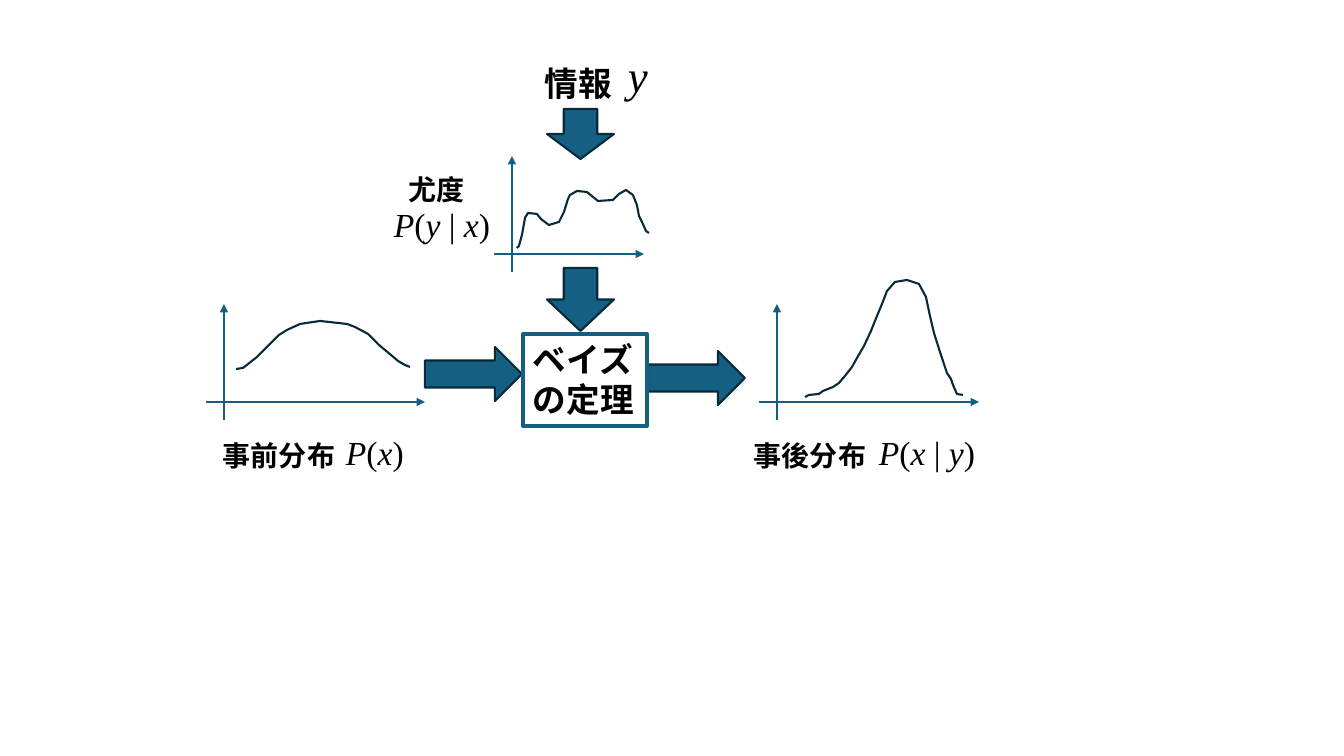
"""Builds a slide showing how Bayes' theorem turns a prior into a posterior."""
from lxml.etree import SubElement
from pptx import Presentation
from pptx.dml.color import RGBColor
from pptx.enum.shapes import MSO_CONNECTOR as CONNECTOR, MSO_SHAPE as SHAPE
from pptx.enum.text import MSO_ANCHOR as ANCHOR, MSO_AUTO_SIZE as AUTO_SIZE, PP_ALIGN as ALIGN
from pptx.oxml.ns import qn
from pptx.util import Pt

PX = 914400 / 100.8
COLORS = {"teal": "156082", "outline": "092A39", "text": "000000"}
JAPANESE = "Noto Sans CJK JP"
MATH = "Times New Roman"


def px(*lengths):
    return [round(length * PX) for length in lengths]


def style_run(run, font, size, bold=False, italic=False):
    run.font.name = font
    run.font.size = Pt(size)
    run.font.bold = bold
    run.font.italic = italic
    run.font.color.rgb = RGBColor.from_string(COLORS["text"])
    SubElement(run.font._element, qn("a:ea"), typeface=font)


presentation = Presentation()
presentation.slide_width, presentation.slide_height = px(1344, 756)
slide = presentation.slides.add_slide(presentation.slide_layouts[6])
shapes = slide.shapes

for origin_x, origin_y, length in [(224, 402, 201), (777, 402, 202), (512, 254, 132)]:
    for ends in [
        (origin_x - 18, origin_y, origin_x + length, origin_y),
        (origin_x, origin_y + 18, origin_x, origin_y - 98),
    ]:
        axis = shapes.add_connector(CONNECTOR.STRAIGHT, *px(*ends))
        axis.line.color.rgb = RGBColor.from_string(COLORS["teal"])
        axis.line.width = Pt(1.5)
        SubElement(axis.line._get_or_add_ln(), qn("a:tailEnd"), type="triangle")
        SubElement(axis._element.spPr, qn("a:effectLst"))

prior = [
    (236, 369), (243, 368), (257, 357), (269, 345), (279, 335), (287, 330),
    (300, 324), (320, 321), (347, 324), (355, 327), (368, 334), (379, 345),
    (391, 355), (398, 361), (405, 365), (410, 367),
]
likelihood = [
    (517, 248), (519, 246), (522, 235), (524, 224), (525, 218), (528, 213),
    (537, 214), (541, 219), (549, 225), (559, 222), (564, 212), (568, 199),
    (570, 195), (577, 191), (587, 192), (598, 201), (613, 200), (619, 194),
    (626, 190), (633, 195), (637, 205), (639, 216), (643, 224), (646, 231),
    (649, 233),
]
posterior = [
    (963, 395), (957, 394), (953, 385), (951, 379), (947, 373), (940, 352),
    (934, 333), (930, 316), (926, 297), (919, 284), (907, 280), (895, 282),
    (887, 291), (882, 304), (877, 316), (871, 331), (864, 346), (857, 358),
    (852, 367), (845, 376), (839, 383), (833, 387), (823, 391), (819, 394),
    (809, 395), (805, 397),
]
for points in (prior, likelihood, posterior):
    builder = shapes.build_freeform(*points[0], scale=PX)
    builder.add_line_segments(points[1:], close=False)
    curve = builder.convert_to_shape()
    curve.shadow.inherit = False
    curve.fill.background()
    curve.line.color.rgb = RGBColor.from_string(COLORS["outline"])
    curve.line.width = Pt(1.5)

for kind, *box in [
    (SHAPE.RIGHT_ARROW, 425, 347, 97, 54),
    (SHAPE.DOWN_ARROW, 547, 109, 67, 50),
    (SHAPE.DOWN_ARROW, 547, 268, 67, 63),
    (SHAPE.RIGHT_ARROW, 648, 351, 97, 54),
]:
    arrow = shapes.add_shape(kind, *px(*box))
    arrow.shadow.inherit = False
    arrow.fill.solid()
    arrow.fill.fore_color.rgb = RGBColor.from_string(COLORS["teal"])
    arrow.line.color.rgb = RGBColor.from_string(COLORS["outline"])
    arrow.line.width = Pt(1.5)

theorem = shapes.add_shape(SHAPE.RECTANGLE, *px(523, 334, 124, 92))
theorem.shadow.inherit = False
theorem.fill.background()
theorem.line.color.rgb = RGBColor.from_string(COLORS["teal"])
theorem.line.width = Pt(3)
theorem.text_frame.word_wrap = True
theorem.text_frame.auto_size = AUTO_SIZE.SHAPE_TO_FIT_TEXT
theorem.text_frame.vertical_anchor = ANCHOR.TOP
theorem.text_frame.text = "ベイズ\nの定理"
for paragraph in theorem.text_frame.paragraphs:
    paragraph.alignment = ALIGN.LEFT
    style_run(paragraph.runs[0], JAPANESE, 24, bold=True)

for text, size, *box in [
    ("情報", 24, 535, 58, 89, 50),
    ("事前分布", 20, 213, 434, 156, 44),
    ("事後分布", 20, 744, 434, 156, 44),
    ("尤度", 20, 399, 168, 87, 44),
]:
    label = shapes.add_textbox(*px(*box))
    label.text_frame.word_wrap = True
    label.text_frame.auto_size = AUTO_SIZE.SHAPE_TO_FIT_TEXT
    label.text_frame.text = text
    style_run(label.text_frame.paragraphs[0].runs[0], JAPANESE, size, bold=True)

for pieces, size, wrap, *box in [
    (["P", "(", "x ", "| ", "y", ")"], 24, False, 869, 427, 117, 50),
    (["P", "(", "x", ")"], 24, False, 336, 427, 79, 50),
    (["P", "(", "y ", "| ", "x", ")"], 24, False, 384, 199, 117, 50),
    (["y"], 32, True, 618, 43, 64, 65),
]:
    formula = shapes.add_textbox(*px(*box))
    formula.text_frame.word_wrap = wrap
    formula.text_frame.auto_size = AUTO_SIZE.SHAPE_TO_FIT_TEXT
    for piece in pieces:
        run = formula.text_frame.paragraphs[0].add_run()
        run.text = piece
        style_run(run, MATH, size, italic=piece.strip().isalpha())

presentation.save("out.pptx")
